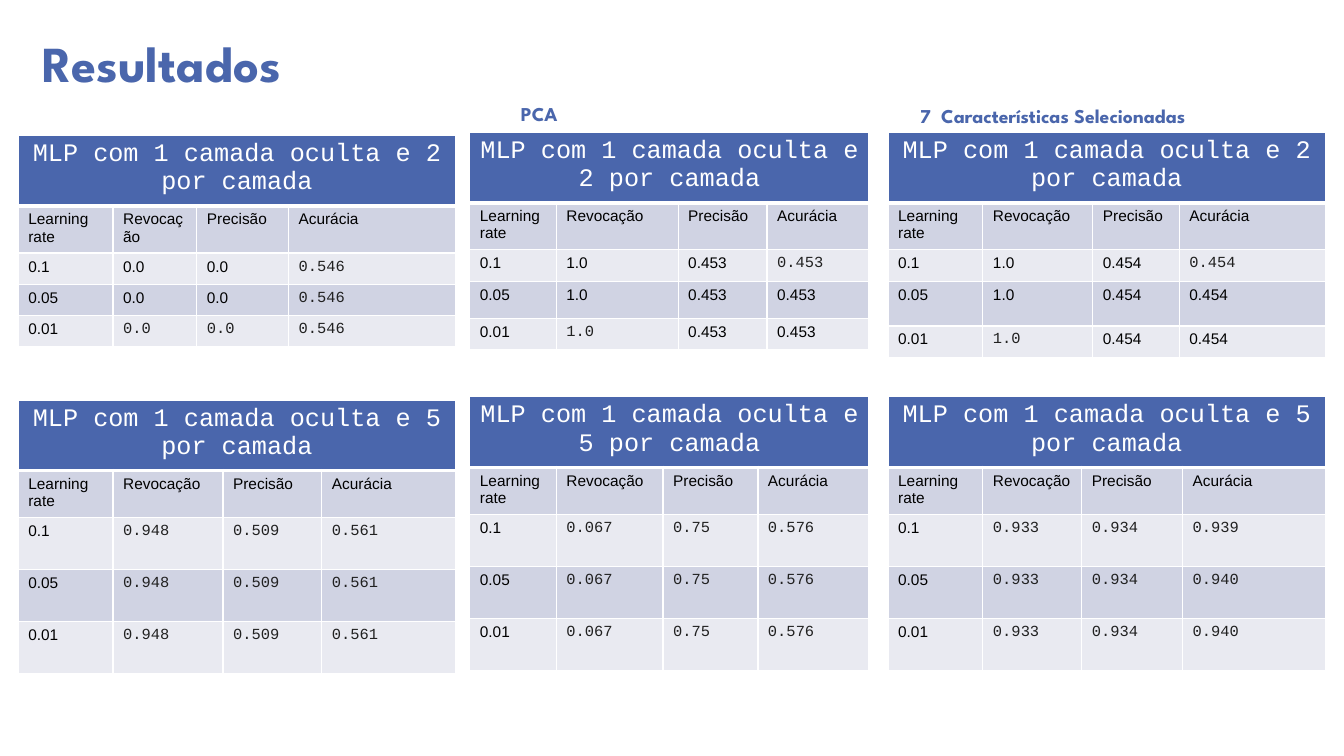
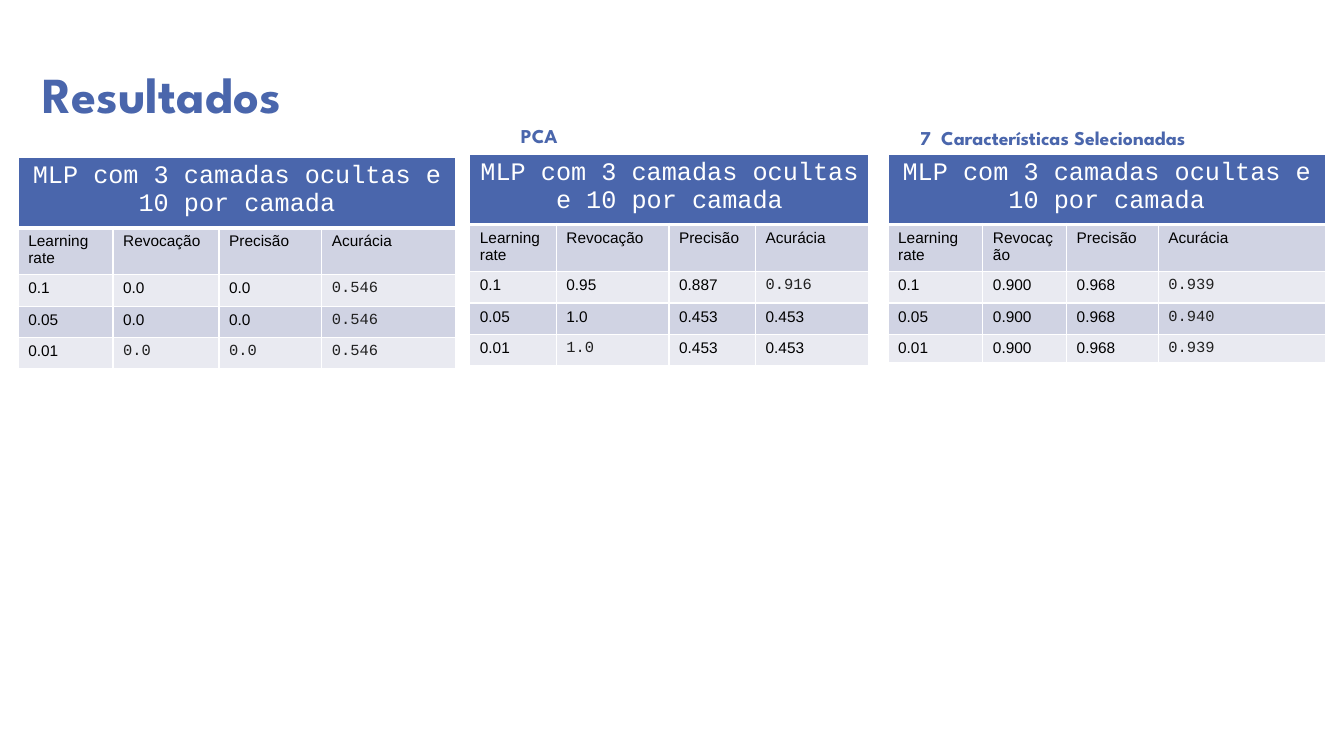
from pptx import Presentation
from pptx.dml.color import RGBColor
from pptx.enum.text import MSO_ANCHOR as Anchor, PP_ALIGN as Align
from pptx.oxml.ns import qn
from pptx.util import Cm, Pt
from lxml.etree import SubElement

BLUE = RGBColor(0x4A, 0x66, 0xAC)
BAND_DARK = RGBColor(0xD0, 0xD3, 0xE3)
BAND_LIGHT = RGBColor(0xE9, 0xEA, 0xF1)
WHITE = RGBColor(0xFF, 0xFF, 0xFF)
BLACK = RGBColor(0x00, 0x00, 0x00)
GRAPHITE = RGBColor(0x21, 0x21, 0x21)

TITLE_FONT = dict(name="League Spartan", size=Pt(36), bold=True)
LABEL_FONT = dict(TITLE_FONT, size=Pt(14))
HEADING_FONT = dict(name="Courier New", size=Pt(18), bold=False)
CELL_FONT = dict(name="Arial", size=Pt(11), bold=False)
OUTPUT_FONT = dict(CELL_FONT, name="Courier New")

METRICS = ("Learning rate", "Revocação", "Precisão", "Acurácia")
RATES = ("0.1", "0.05", "0.01")

GROUPS = [
    dict(left=0.46, width=11.02, drop=0.08, label=None),
    dict(left=11.84, width=10.06, drop=0,
         label=("PCA", 12.88, -1.27, 6.96)),
    dict(left=22.38, width=11.02, drop=0,
         label=("7  Características Selecionadas", 22.94, -1.22, 8.08)),
]

ALL_OUTPUT = ("CCC", "CCC", "CCC")
LAST_OUTPUT = ("AAC", "AAC", "CCC")
MIXED_OUTPUT = ("AAC", "AAA", "CAA")
COLUMN_OUTPUT = ("AAC", "AAC", "AAC")
SHORT = (0.79, 0.79, 0.79)
TALL = (1.31, 1.31, 1.31)

SLIDES = [
    dict(title_top=0.71, bands=[
        dict(top=3.33, heading="MLP com 1 camada oculta e 2 por camada", results=[
            ((2.39, 2.11, 2.31), SHORT, LAST_OUTPUT,
             [("0.0", "0.0", "0.546")] * 3),
            ((2.18, 3.07, 2.24), (0.79, 0.94, 0.79), MIXED_OUTPUT,
             [("1.0", "0.453", "0.453")] * 3),
            ((2.39, 2.77, 2.18), (0.79, 1.13, 0.79), MIXED_OUTPUT,
             [("1.0", "0.454", "0.454")] * 3),
        ]),
        dict(top=10, heading="MLP com 1 camada oculta e 5 por camada", results=[
            ((2.39, 2.77, 2.49), TALL, ALL_OUTPUT,
             [("0.948", "0.509", "0.561")] * 3),
            ((2.18, 2.69, 2.39), TALL, ALL_OUTPUT,
             [("0.067", "0.75", "0.576")] * 3),
            ((2.39, 2.49, 2.54), TALL, ALL_OUTPUT,
             [("0.933", "0.934", "0.939"),
              ("0.933", "0.934", "0.940"),
              ("0.933", "0.934", "0.940")]),
        ]),
    ]),
    dict(title_top=1.47, bands=[
        dict(top=3.88, heading="MLP com 3 camadas ocultas e 10 por camada", results=[
            ((2.39, 2.67, 2.59), SHORT, LAST_OUTPUT,
             [("0.0", "0.0", "0.546")] * 3),
            ((2.18, 2.84, 2.18), SHORT, MIXED_OUTPUT,
             [("0.95", "0.887", "0.916"),
              ("1.0", "0.453", "0.453"),
              ("1.0", "0.453", "0.453")]),
            ((2.39, 2.11, 2.31), (0.79, 0.79, 0.71), COLUMN_OUTPUT,
             [("0.900", "0.968", "0.939"),
              ("0.900", "0.968", "0.940"),
              ("0.900", "0.968", "0.939")]),
        ]),
    ]),
]


def write(paragraph, text, font, color):
    run = paragraph.add_run()
    run.text = text
    for key, value in font.items():
        setattr(run.font, key, value)
    run.font.color.rgb = color


def add_caption(slide, text, left, top, width, height, font):
    frame = slide.shapes.add_textbox(Cm(left), Cm(top), Cm(width), Cm(height)).text_frame
    frame.word_wrap = True
    frame.vertical_anchor = Anchor.BOTTOM
    frame.paragraphs[0].line_spacing = 0.9
    write(frame.paragraphs[0], text, font, BLUE)


def set_borders(cell, row):
    properties = cell._tc.get_or_add_tcPr()
    weights = dict(lnL=1, lnR=1, lnT=3 if row == 1 else 1, lnB=3 if row == 0 else 1)
    for side, weight in weights.items():
        line = SubElement(properties, qn("a:" + side), w=str(Pt(weight)))
        fill = SubElement(line, qn("a:solidFill"))
        SubElement(fill, qn("a:srgbClr"), val=str(WHITE))


def add_results(slide, group, band, columns, heights, output, values):
    widths = [*columns, group["width"] - sum(columns)]
    heights = [1.69, 1.09, *heights]
    table = slide.shapes.add_table(
        len(heights), len(widths), Cm(group["left"]), Cm(band["top"] + group["drop"]),
        Cm(group["width"]), Cm(sum(heights))).table
    table.first_row = table.horz_banding = False
    for column, width in zip(table.columns, widths):
        column.width = Cm(width)
    for row, height in zip(table.rows, heights):
        row.height = Cm(height)

    table.cell(0, 0).merge(table.cell(0, len(widths) - 1))
    texts = [(band["heading"],), METRICS]
    texts += [(rate, *scores) for rate, scores in zip(RATES, values)]
    kinds = ["H", "AAAA"] + ["A" + pattern for pattern in output]
    styles = dict(H=(HEADING_FONT, WHITE), A=(CELL_FONT, BLACK), C=(OUTPUT_FONT, GRAPHITE))
    fills = [BLUE, BAND_DARK, BAND_LIGHT, BAND_DARK, BAND_LIGHT]
    for r, fill in enumerate(fills):
        for c in range(len(widths)):
            cell = table.cell(r, c)
            set_borders(cell, r)
            cell.fill.solid()
            cell.fill.fore_color.rgb = fill
        for c, (text, kind) in enumerate(zip(texts[r], kinds[r])):
            write(table.cell(r, c).text_frame.paragraphs[0], text, *styles[kind])
    table.cell(0, 0).text_frame.paragraphs[0].alignment = Align.CENTER


def main():
    deck = Presentation()
    deck.slide_width, deck.slide_height = Cm(33.87), Cm(19.05)
    for content in SLIDES:
        slide = deck.slides.add_slide(deck.slide_layouts[6])
        add_caption(slide, "Resultados", 0.81, content["title_top"], 24.13, 1.78, TITLE_FONT)
        for band in content["bands"]:
            for group, results in zip(GROUPS, band["results"]):
                add_results(slide, group, band, *results)
        for group in GROUPS:
            if group["label"]:
                text, left, rise, width = group["label"]
                top = content["bands"][0]["top"] + rise
                add_caption(slide, text, left, top, width, 1.24, LABEL_FONT)
    deck.save("out.pptx")


if __name__ == "__main__":
    main()
